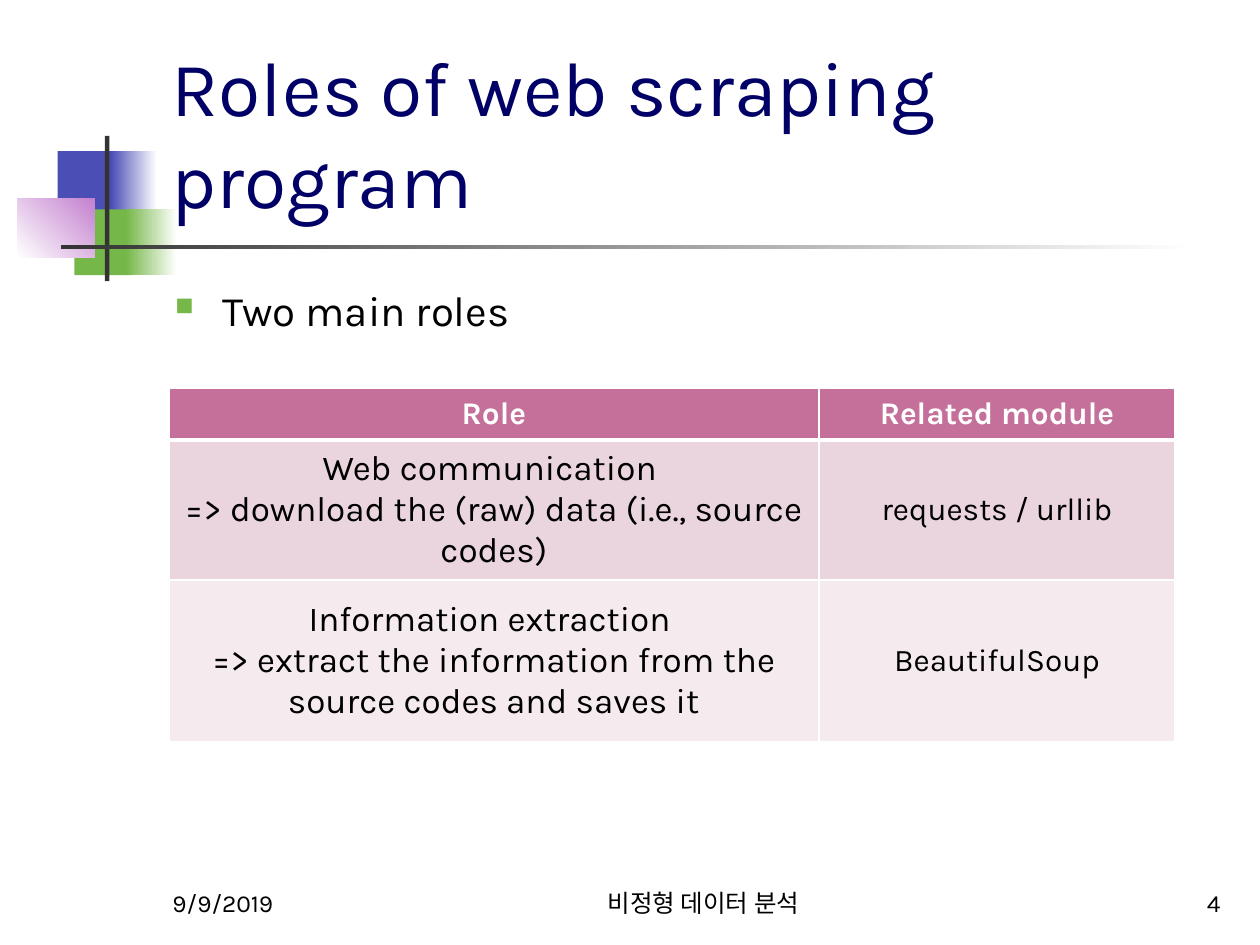
from lxml.etree import SubElement
from pptx import Presentation
from pptx.dml.color import RGBColor
from pptx.enum.shapes import MSO_SHAPE as Preset
from pptx.enum.text import MSO_ANCHOR as Anchor, PP_ALIGN as Align
from pptx.oxml import parse_xml
from pptx.oxml.ns import nsdecls, qn
from pptx.util import Pt

FONT = "Karla"
COLORS = {
    "blue": "4B4EB5", "green": "76B749", "violet": "C481CF", "gray": "333333",
    "navy": "000066", "black": "000000", "white": "FFFFFF",
    "header": "C4709A", "band": "EAD5DE", "pale": "F5EBEF",
}


def color(name):
    """Return the named palette colour."""
    return RGBColor.from_string(COLORS[name])


def set_text(frame, text, size, ink="black", align=Align.LEFT, anchor=Anchor.BOTTOM, bold=False):
    """Write one formatted paragraph into a text frame and return it."""
    frame.word_wrap = True
    frame.vertical_anchor = anchor
    paragraph = frame.paragraphs[0]
    paragraph.text = text
    paragraph.alignment = align
    for run in paragraph.runs:
        for key, value in {"name": FONT, "size": Pt(size), "bold": bold}.items():
            setattr(run.font, key, value)
        run.font.color.rgb = color(ink)
    return paragraph


def add_text(slide, box, text, size, **style):
    """Add a text box and return its paragraph."""
    return set_text(slide.shapes.add_textbox(*map(Pt, box)).text_frame, text, size, **style)


def add_block(slide, box, start, end=None, angle=0):
    """Add a borderless rectangle with a plain or two-colour gradient fill."""
    block = slide.shapes.add_shape(Preset.RECTANGLE, *map(Pt, box))
    block.shadow.inherit = False
    block.line.fill.background()
    if end is None:
        block.fill.solid()
        block.fill.fore_color.rgb = color(start)
        return
    block.fill.gradient()
    block.fill.gradient_angle = angle
    for stop, name, position in zip(block.fill.gradient_stops, (start, end), (0, 1)):
        stop.color.rgb = color(name)
        stop.position = position


def add_ornament(slide, left, top):
    """Draw the overlapping squares and crossed rules from a top-left corner."""
    blocks = [
        ((23, 8.7, 34.5, 37.5), "blue"),
        ((53.5, 8.7, 26, 37.5), "blue", "white"),
        ((32.5, 42, 33, 37.5), "green"),
        ((62, 42, 29, 37.5), "green", "white"),
        ((0, 36, 44.3, 33.5), "white", "violet", 45),
        ((50, 0, 2.5, 83), "gray"),
        ((25, 62.3, 648, 2.5), "gray", "white"),
    ]
    for (x, y, width, height), *fill in blocks:
        add_block(slide, (left + x, top + y, width, height), *fill)


def add_title(slide, box, text):
    """Place and format the title placeholder."""
    title = slide.shapes.title
    for key, value in zip(("left", "top", "width", "height"), box):
        setattr(title, key, Pt(value))
    set_text(title.text_frame, text, 44, ink="navy")


def add_bullet(slide, box, text):
    """Add a paragraph with a square green bullet."""
    paragraph = add_text(slide, box, text, 24, anchor=Anchor.TOP)
    paragraph.space_before = Pt(4.8)
    properties = paragraph._p.get_or_add_pPr()
    properties.set("marL", str(Pt(27)))
    properties.set("indent", str(-Pt(27)))
    bullet_color = SubElement(properties, qn("a:buClr"))
    SubElement(bullet_color, qn("a:srgbClr"), val=COLORS["green"])
    SubElement(properties, qn("a:buSzPct"), val="60000")
    SubElement(properties, qn("a:buChar"), char="■")


def set_borders(cell, **widths):
    """Give a cell white borders of the given widths."""
    properties = cell._tc.get_or_add_tcPr()
    for index, side in enumerate("LRTB"):
        properties.insert(index, parse_xml(
            f'<a:ln{side} {nsdecls("a")} w="{Pt(widths.get(side, 1))}"><a:solidFill>'
            f'<a:srgbClr val="{COLORS["white"]}"/></a:solidFill></a:ln{side}>'))


def add_roles(slide, box, columns, heights, rows):
    """Add the table of roles and their modules."""
    table = slide.shapes.add_table(len(rows), len(columns), *map(Pt, box)).table
    for column, width in zip(table.columns, columns):
        column.width = Pt(width)
    styles = [
        ("header", "white", (18, 18), {"B": 3}),
        ("band", "black", (20, 18), {"T": 3}),
        ("pale", "black", (20, 18), {}),
    ]
    for row, height, texts, (fill, ink, sizes, borders) in zip(table.rows, heights, rows, styles):
        row.height = Pt(height)
        for cell, text, size in zip(row.cells, texts, sizes):
            set_text(cell.text_frame, text, size, ink=ink, align=Align.CENTER,
                     bold=fill == "header")
            cell.vertical_anchor = Anchor.MIDDLE
            cell.fill.solid()
            cell.fill.fore_color.rgb = color(fill)
            set_borders(cell, **borders)


def add_footer(slide, top, height):
    """Add the date, course name and slide number along the bottom."""
    parts = [
        (91.5, 150, "9/9/2019", Align.LEFT),
        (288, 228, "비정형 데이터 분석", Align.CENTER),
        (554.5, 150, "4", Align.RIGHT),
    ]
    for left, width, text, align in parts:
        add_text(slide, (left, top, width, height), text, 14, align=align)


def build():
    """Build and save the slide."""
    deck = Presentation()
    deck.slide_width, deck.slide_height = Pt(720), Pt(540)
    slide = deck.slides.add_slide(deck.slide_layouts[5])
    add_ornament(slide, 10, 77.7)
    add_title(slide, (91, 16.5, 613, 115), "Roles of web scraping program")
    add_bullet(slide, (93, 159, 612, 324), "Two main roles")
    add_roles(slide, (96.5, 222, 575, 202), (371.5, 203.5), (29.5, 80, 92.5), [
        ("Role", "Related module"),
        ("Web communication \v=> download the (raw) data (i.e., source codes)",
         "requests / urllib"),
        ("Information extraction \v=> extract the information from the source codes and saves it",
         "BeautifulSoup"),
    ])
    add_footer(slide, 492, 36)
    deck.save("out.pptx")


build()
